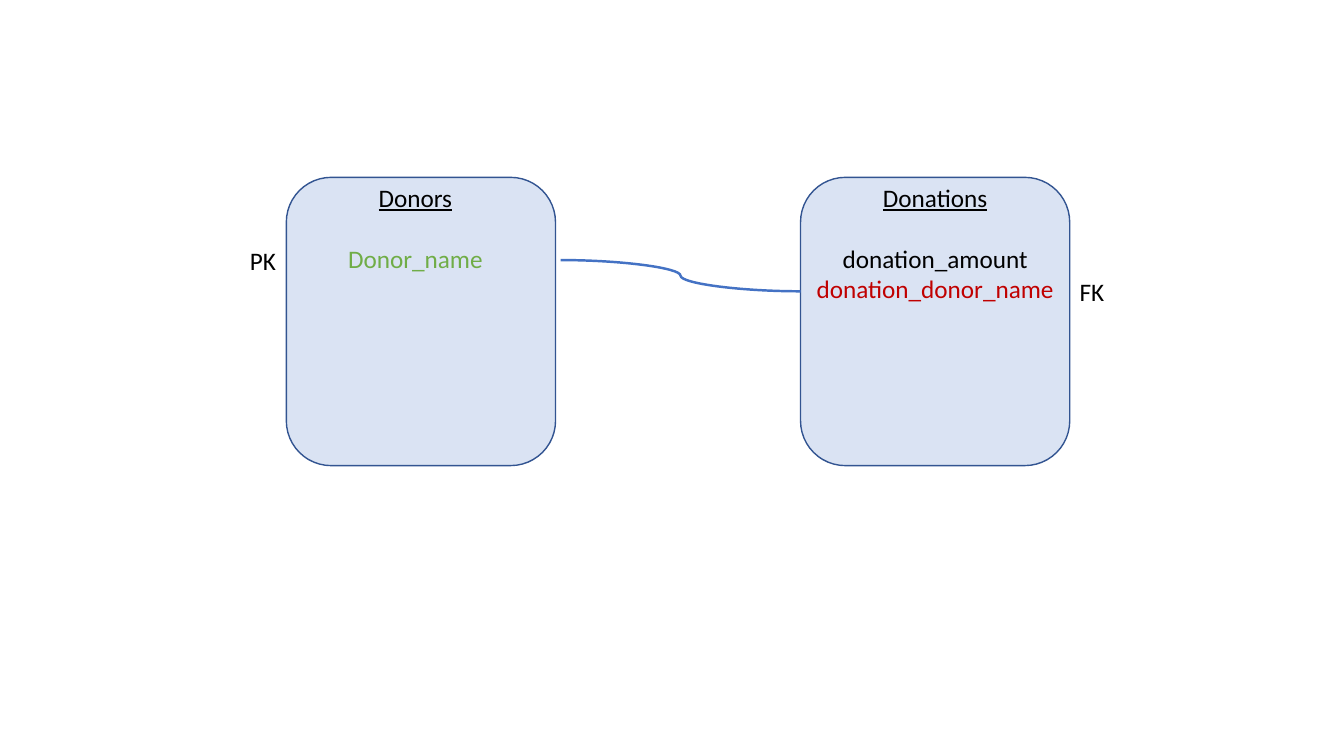
from dataclasses import dataclass

from lxml import etree
from pptx import Presentation
from pptx.dml.color import RGBColor
from pptx.enum.shapes import MSO_CONNECTOR, MSO_SHAPE
from pptx.enum.text import MSO_AUTO_SIZE, PP_ALIGN
from pptx.oxml.ns import qn
from pptx.util import Inches, Pt

ROUNDED = MSO_SHAPE.ROUNDED_RECTANGLE
CURVE = MSO_CONNECTOR.CURVE
CENTER, LEFT = PP_ALIGN.CENTER, PP_ALIGN.LEFT


@dataclass(frozen=True)
class Theme:
    font: str = "Calibri"
    text_size: float = 18
    title_gap: float = 22
    border_width: float = 1
    link_width: float = 1.75
    text: str = "000000"
    primary_key: str = "70AD47"
    foreign_key: str = "C00000"
    card_fill: str = "DAE3F3"
    card_border: str = "325491"
    link: str = "4472C4"


THEME = Theme()

# Card left, text left, text width, table name, fields with colours
TABLES = [
    (2.84, 2.94, 2.36, "Donors", [("Donor_name", THEME.primary_key)]),
    (7.94, 7.94, 2.67, "Donations", [("donation_amount", THEME.text),
                                     ("donation_donor_name", THEME.foreign_key)]),
]
# Label, left, top, width, wraps
KEYS = [("PK", 2.38, 2.38, 0.46, False), ("FK", 10.61, 2.69, 0.45, True)]
LINK_START, LINK_END = (5.56, 2.58), (7.94, 2.89)

CARD_TOP, CARD_WIDTH, CARD_HEIGHT = 1.76, 2.67, 2.86
FIELDS_HEIGHT, KEY_HEIGHT = 1.62, 0.4


def color(value):
    return RGBColor.from_string(value)


def add_card(page, left):
    card = page.shapes.add_shape(ROUNDED, Inches(left), Inches(CARD_TOP),
                                 Inches(CARD_WIDTH), Inches(CARD_HEIGHT))
    card.shadow.inherit = False
    card.fill.solid()
    card.fill.fore_color.rgb = color(THEME.card_fill)
    card.line.color.rgb = color(THEME.card_border)
    card.line.width = Pt(THEME.border_width)


def add_text(page, left, top, width, height, lines, align=LEFT, wrap=True):
    """Add a text box with one paragraph for each (text, colour) line."""
    box = page.shapes.add_textbox(Inches(left), Inches(top), Inches(width), Inches(height))
    frame = box.text_frame
    frame.word_wrap = wrap
    frame.auto_size = MSO_AUTO_SIZE.SHAPE_TO_FIT_TEXT
    frame.text = "\n".join(text for text, _ in lines)
    for para, (_, text_color) in zip(frame.paragraphs, lines):
        para.alignment = align
        font = para.runs[0].font
        font.name = THEME.font
        font.size = Pt(THEME.text_size)
        font.color.rgb = color(text_color)
    return box


def add_fields(page, left, width, name, fields):
    box = add_text(page, left, CARD_TOP, width, FIELDS_HEIGHT,
                   [(name, THEME.text)] + fields, CENTER)
    title = box.text_frame.paragraphs[0]
    title.runs[0].font.underline = True
    title.space_after = Pt(THEME.title_gap)


def add_link(page, start, end):
    link = page.shapes.add_connector(CURVE, *(Inches(value) for value in start + end))
    link.line.color.rgb = color(THEME.link)
    link.line.width = Pt(THEME.link_width)
    etree.SubElement(link._element.spPr, qn("a:effectLst"))


def main():
    deck = Presentation()
    deck.slide_width, deck.slide_height = Inches(13.33), Inches(7.5)
    page = deck.slides.add_slide(deck.slide_layouts.get_by_name("Blank"))
    for card_left, *_ in TABLES:
        add_card(page, card_left)
    for _, left, width, name, fields in TABLES:
        add_fields(page, left, width, name, fields)
    add_link(page, LINK_START, LINK_END)
    for label, left, top, width, wrap in KEYS:
        add_text(page, left, top, width, KEY_HEIGHT, [(label, THEME.text)], wrap=wrap)
    deck.save("out.pptx")


if __name__ == "__main__":
    main()
